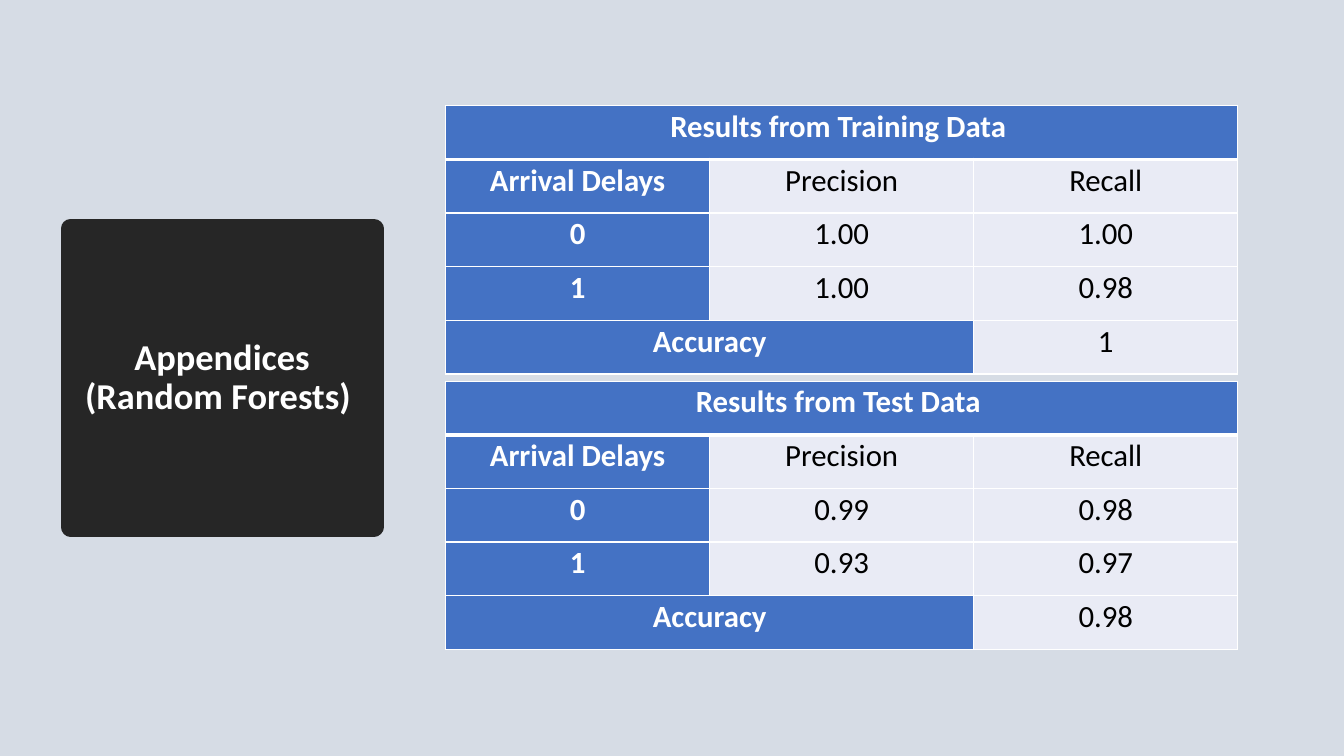
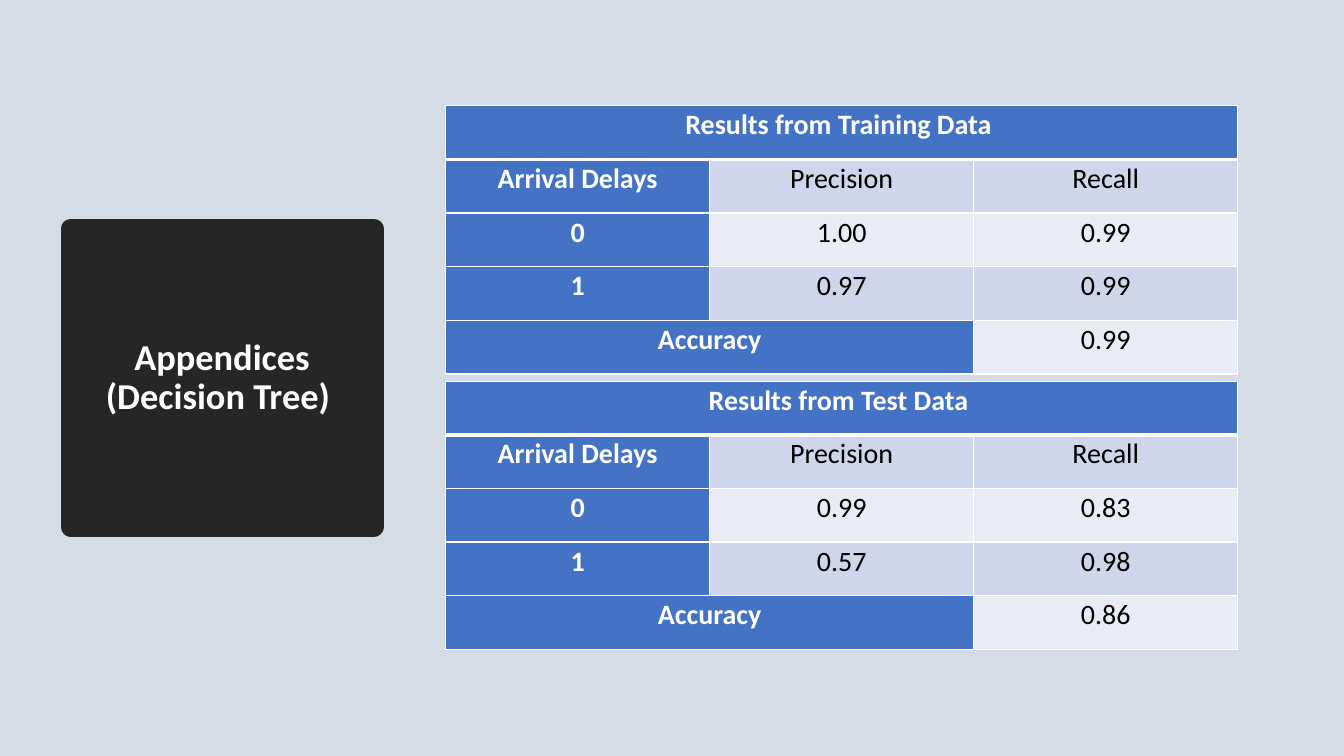
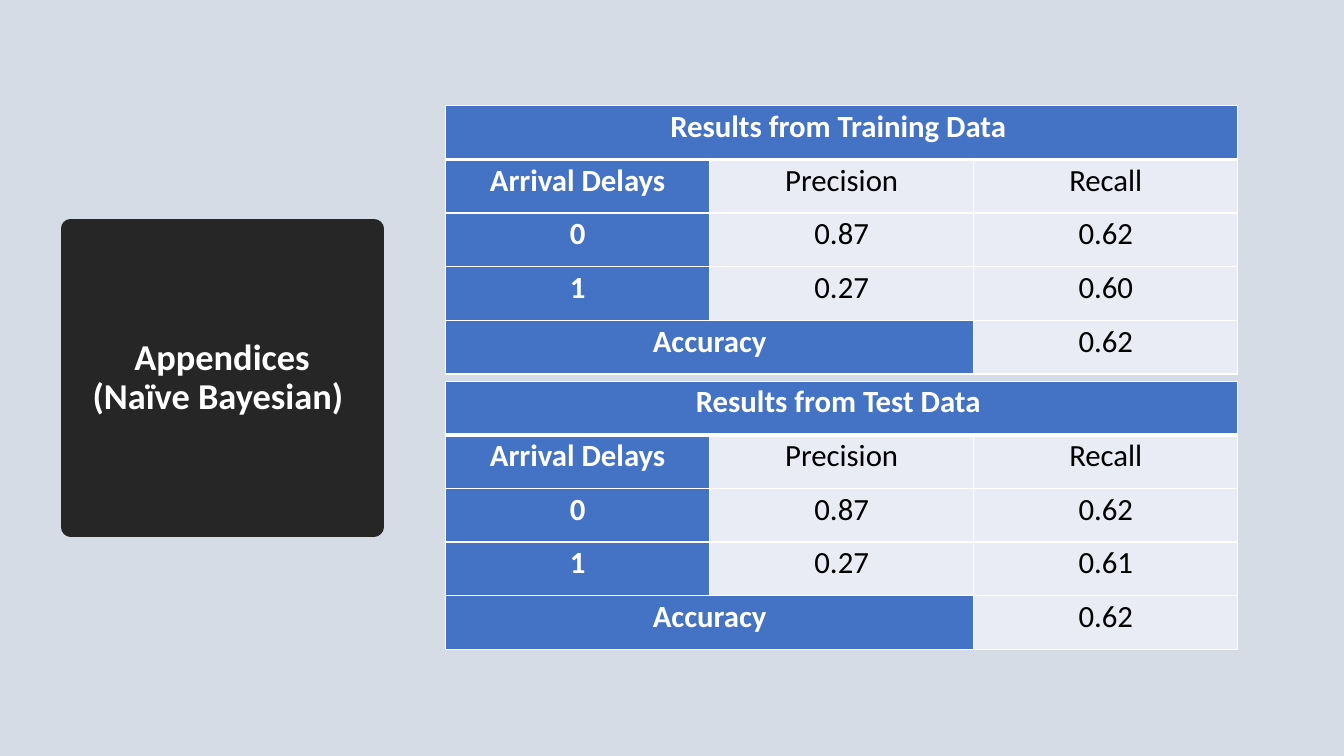
from lxml.etree import SubElement
from pptx import Presentation
from pptx.dml.color import RGBColor
from pptx.enum.shapes import MSO_SHAPE
from pptx.enum.text import MSO_ANCHOR, PP_ALIGN
from pptx.oxml.ns import qn
from pptx.util import Pt

COLORS = {
    "back": "D6DCE5",
    "badge": "262626",
    "head": "4472C4",
    "pale": "E9EBF5",
    "band": "CFD5EA",
    "white": "FFFFFF",
    "black": "000000",
}
FONT = "Calibri"
BADGE = (50.4, 163.4, 216.7, 213.1)  # left, top, width, height
TABLES = (318.3, 75.6, 565.9, 388.1)  # box holding both tables
ROW = 38.3
HEADS = ("Results from Training Data ", "Results from Test Data ")

# Each table: precision and recall for class 0, the same for class 1, accuracy
SLIDES = [
    ("(Random Forests) ", 22, 10, "pale", [
        ("1.00", "1.00", "1.00", "0.98", "1"),
        ("0.99", "0.98", "0.93", "0.97", "0.98")]),
    ("(Decision Tree) ", 20, 9, "band", [
        ("1.00", "0.99", "0.97", "0.99", "0.99"),
        ("0.99", "0.83", "0.57", "0.98", "0.86")]),
    ("(Naïve Bayesian) ", 22, 10, "pale", [
        ("0.87", "0.62", "0.27", "0.60", "0.62"),
        ("0.87", "0.62", "0.27", "0.61", "0.62")]),
]


def paint(fill, name):
    fill.solid()
    fill.fore_color.rgb = RGBColor.from_string(COLORS[name])


def add_run(para, text, size, color, bold):
    run = para.add_run()
    run.text = text
    font = run.font
    font.name, font.size, font.bold = FONT, Pt(size), bold
    font.color.rgb = RGBColor.from_string(COLORS[color])


def add_edges(cell, row):
    """White cell borders, heavier under the heading row."""
    props = cell._tc.get_or_add_tcPr()
    widths = {"L": 1, "R": 1, "T": 3 if row == 1 else 1, "B": 3 if row == 0 else 1}
    for side, width in widths.items():
        line = SubElement(props, qn(f"a:ln{side}"), w=str(Pt(width)))
        fill = SubElement(line, qn("a:solidFill"))
        SubElement(fill, qn("a:srgbClr"), val=COLORS["white"])


def add_scores(slide, box, head, scores, size, inset, band):
    """One table of precision, recall and accuracy."""
    p0, r0, p1, r1, total = scores
    rows = [
        (head, "", ""),
        ("Arrival Delays", "Precision", "Recall"),
        ("0", p0, r0),
        ("1", p1, r1),
        ("Accuracy", "", total),
    ]
    table = slide.shapes.add_table(len(rows), 3, *map(Pt, box)).table
    table.first_row = table.horz_banding = False
    for col in table.columns:
        col.width = Pt(box[2] / 3)
    for r, texts in enumerate(rows):
        table.rows[r].height = Pt(box[3] / len(rows))
        for c, text in enumerate(texts):
            cell = table.cell(r, c)
            add_edges(cell, r)
            label = r == 0 or c == 0 or (r == 4 and c == 1)
            paint(cell.fill, "head" if label else band if r % 2 else "pale")
            cell.margin_left = cell.margin_right = Pt(inset)
            cell.margin_top = cell.margin_bottom = 0
            para = cell.text_frame.paragraphs[0]
            para.alignment, para.line_spacing = PP_ALIGN.CENTER, 1.07
            if text:
                add_run(para, text, size, "white" if label else "black", label)
    # Spans of the heading and accuracy rows
    table.cell(0, 0).merge(table.cell(0, 2))
    table.cell(4, 0).merge(table.cell(4, 1))


def add_badge(slide, box, model):
    """Dark title square with a thick, round-cornered outline."""
    badge = slide.shapes.add_shape(MSO_SHAPE.RECTANGLE, *map(Pt, box))
    badge.shadow.inherit = False
    paint(badge.fill, "badge")
    paint(badge.line.fill, "badge")
    badge.line.width = Pt(13.75)
    SubElement(badge.line._get_or_add_ln(), qn("a:round"))
    frame = badge.text_frame
    frame.word_wrap, frame.vertical_anchor = True, MSO_ANCHOR.MIDDLE
    para = frame.paragraphs[0]
    para.alignment, para.line_spacing = PP_ALIGN.CENTER, 0.9
    add_run(para, "Appendices", 26, "white", True)
    para.add_line_break()
    add_run(para, model, 26, "white", True)


def add_page(deck, model, size, inset, band, results):
    slide = deck.slides.add_slide(deck.slide_layouts[6])
    left, top, width, height = TABLES
    tall = 5 * ROW
    step = height - tall
    for i, (head, scores) in enumerate(zip(HEADS, results)):
        box = (left, top + i * step, width, tall)
        add_scores(slide, box, head, scores, size, inset, band)
    add_badge(slide, BADGE, model)


def main():
    deck = Presentation()
    deck.slide_width, deck.slide_height = Pt(960), Pt(540)
    paint(deck.slide_master.background.fill, "back")
    for page in SLIDES:
        add_page(deck, *page)
    deck.save("out.pptx")


if __name__ == "__main__":
    main()
